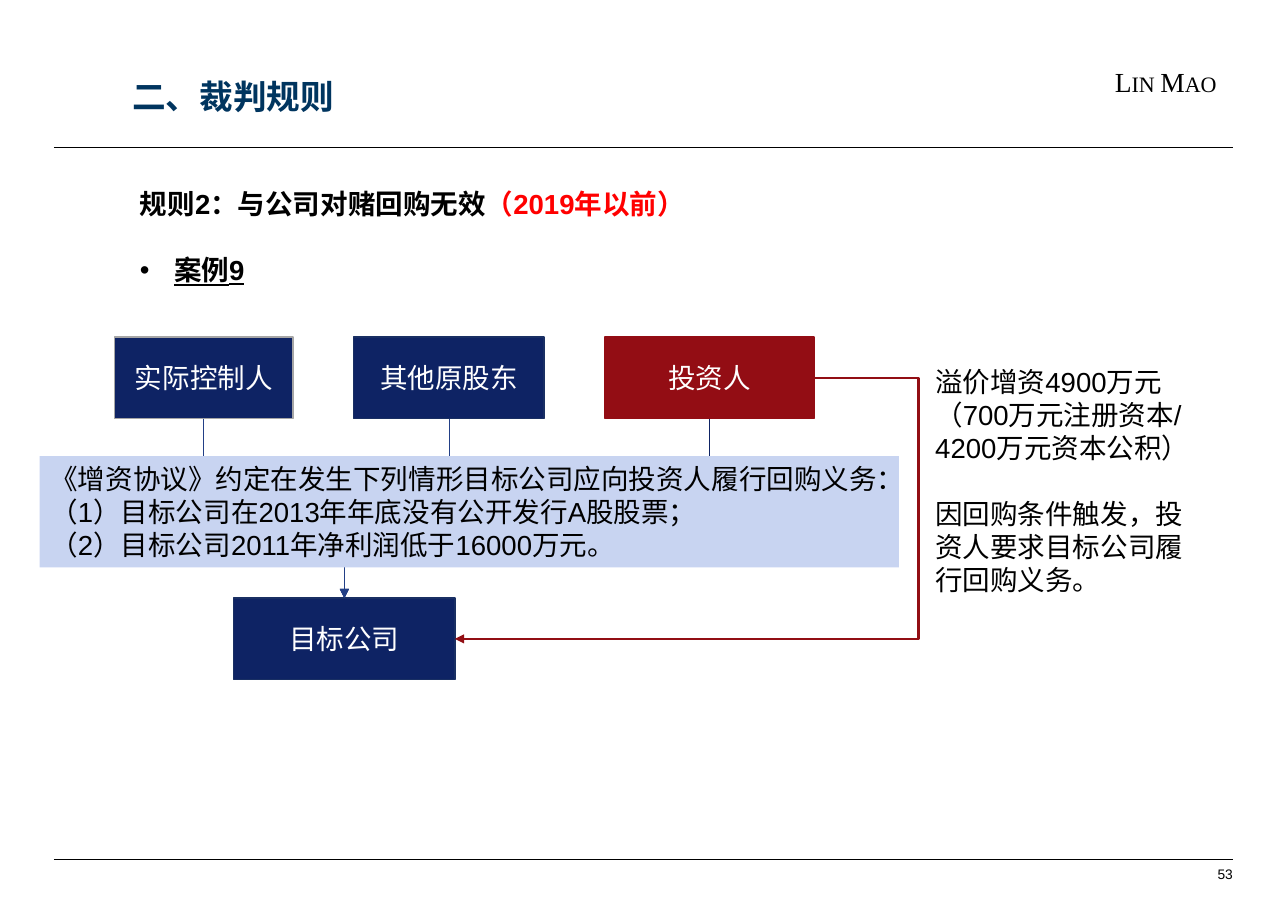
"""Build the slide on the buy-back rule and its case diagram."""
from lxml import etree
from pptx import Presentation
from pptx.dml.color import RGBColor
from pptx.enum.shapes import MSO_CONNECTOR as CONNECTOR, MSO_SHAPE as SHAPE
from pptx.enum.text import MSO_ANCHOR as ANCHOR, MSO_AUTO_SIZE as AUTO_SIZE, PP_ALIGN as ALIGN
from pptx.oxml.ns import qn
from pptx.util import Emu, Pt

NAVY, NAVY_EDGE, BLUE, GREY = "0E2364", "192F63", "223F86", "A6A6A6"
RED, RED_LINE, PALE, BLACK, WHITE = "930D14", "920E14", "C8D4F1", "000000", "FFFFFF"
TOP, BOTTOM, RIGHT = 0, 2, 3
LINE_GAP = 21.6


def px(length):
    """Turn px, 100 to the inch, into EMU."""
    return Emu(length * 9144)


def color(value):
    """Turn a hex string into a colour."""
    return RGBColor.from_string(value)


def set_font(font, size, shade=BLACK, name="Arial", bold=False):
    """Format a font."""
    font.size, font.name, font.bold = Pt(size), name, bold
    font.color.rgb = color(shade)


def place(shape, left, top, width, height):
    """Move and size a shape."""
    shape.left, shape.top = px(left), px(top)
    shape.width, shape.height = px(width), px(height)


def write(shape, texts, size=18, shade=BLACK, align=ALIGN.LEFT, anchor=ANCHOR.TOP,
          gap=0, name="Arial", bold=False):
    """Fill a shape with equally formatted paragraphs."""
    frame = shape.text_frame
    frame.word_wrap, frame.vertical_anchor = True, anchor
    frame.auto_size = AUTO_SIZE.NONE
    frame.text = "\n".join(texts)
    for index, paragraph in enumerate(frame.paragraphs):
        paragraph.alignment = align
        paragraph.space_before = Pt(gap if index else 0)
        set_font(paragraph.font, size, shade, name, bold)
    return frame


def add_text(slide, box, texts, **style):
    """Add a text box."""
    return write(slide.shapes.add_textbox(*map(px, box)), texts, **style)


def add_box(slide, box, fill, edge=None):
    """Add a filled rectangle, with an edge if one is given."""
    shape = slide.shapes.add_shape(SHAPE.RECTANGLE, *map(px, box))
    shape.shadow.inherit = False
    shape.fill.solid()
    shape.fill.fore_color.rgb = color(fill)
    if edge:
        shape.line.color.rgb = color(edge)
        shape.line.width = Pt(1)
    else:
        shape.line.fill.background()
    return shape


def add_party(slide, label, box, fill, edge):
    """Add the labelled box of one party."""
    party = add_box(slide, box, fill, edge)
    write(party, [label], shade=WHITE, align=ALIGN.CENTER, anchor=ANCHOR.MIDDLE)
    return party


def add_line(slide, kind, start, end, shade, width, arrow=False):
    """Add a connector without shadow."""
    line = slide.shapes.add_connector(kind, *map(px, start + end))
    line.line.color.rgb = color(shade)
    line.line.width = Pt(width)
    if arrow:
        tail = etree.SubElement(line.line._get_or_add_ln(), qn("a:tailEnd"))
        tail.set("type", "triangle")
    etree.SubElement(line._element.spPr, qn("a:effectLst"))
    return line


def add_elbow(slide, source, source_site, target, target_site, shade, width):
    """Add a bent arrow glued to two boxes."""
    elbow = add_line(slide, CONNECTOR.ELBOW, (0, 0), (0, 0), shade, width, arrow=True)
    elbow.begin_connect(source, source_site)
    elbow.end_connect(target, target_site)
    return elbow


def add_drop(slide, source, target, shade, width):
    """Add a bent arrow that leaves downwards and arrives from above."""
    drop = add_elbow(slide, source, BOTTOM, target, TOP, shade, width)
    from_left = drop.begin_x < drop.end_x
    middle_x, middle_y = (drop.begin_x + drop.end_x) // 2, (drop.begin_y + drop.end_y) // 2
    across, down = drop.height, drop.width
    drop.left, drop.top = Emu(middle_x - across // 2), Emu(middle_y - down // 2)
    drop.width, drop.height = across, down
    transform = drop._element.spPr.find(qn("a:xfrm"))
    transform.set("rot", str((270 if from_left else 90) * 60000))
    transform.set("flipH", "1" if from_left else "0")


def add_side_loop(slide, source, target):
    """Add the red arrow that leaves and arrives on the right."""
    loop = add_elbow(slide, source, RIGHT, target, RIGHT, RED_LINE, 1.5)
    geometry = loop._element.spPr.find(qn("a:prstGeom"))
    adjustments = geometry.find(qn("a:avLst"))
    if adjustments is None:
        adjustments = etree.SubElement(geometry, qn("a:avLst"))
    guide = etree.SubElement(adjustments, qn("a:gd"))
    guide.set("name", "adj1")
    guide.set("fmla", "val -29150")


def set_bullet(paragraph, indent=0, mark=None):
    """Give a paragraph a hanging bullet, or none."""
    properties = paragraph._p.get_or_add_pPr()
    properties.set("marL", str(px(indent)))
    properties.set("indent", str(-px(indent)))
    bullet = etree.SubElement(properties, qn("a:buChar" if mark else "a:buNone"))
    if mark:
        bullet.set("char", mark)


def fill_title(title):
    """Fill the title placeholder."""
    place(title, 120, 69, 802, 43)
    frame = write(title, ["二、裁判规则"], size=22, shade="00355F", bold=True)
    frame.margin_left = frame.margin_right = frame.margin_top = frame.margin_bottom = 0


def fill_rule(body):
    """Fill the body placeholder with the rule and its case."""
    place(body, 117, 165, 1002, 131)
    frame = body.text_frame
    frame.auto_size = AUTO_SIZE.NONE
    rule, case = frame.paragraphs[0], frame.add_paragraph()
    set_bullet(rule)
    set_bullet(case, 31, "•")
    for paragraph, gap in ((rule, 0), (case, LINE_GAP)):
        paragraph.space_before = Pt(gap)
        set_font(paragraph.font, 18, bold=True)
    for text, shade in (("规则2：与公司对赌回购无效", BLACK), ("（2019年以前）", "FF0000")):
        run = rule.add_run()
        run.text = text
        run.font.color.rgb = color(shade)
    case.add_run().text = "案例9"
    case.font.underline = True


def add_page_frame(slide):
    """Add the firm name, the two rules and the page number."""
    firm = add_text(slide, (1002, 54, 133, 40), ["Lin Mao"], name="Times New Roman")
    firm.paragraphs[0].runs[0].font._element.set("cap", "small")
    for y in (134, 780):
        add_line(slide, CONNECTOR.STRAIGHT, (49, y), (1119, y), BLACK, 0.5)
    number = add_text(slide, (1040, 781, 79, 25), ["53"], size=9,
                      align=ALIGN.RIGHT, anchor=ANCHOR.MIDDLE)
    number.margin_right = 0
    number.margin_top = number.margin_bottom = px(2)


def add_diagram(slide):
    """Add the parties, their arrows and the agreed terms."""
    controller = add_party(slide, "实际控制人", (104, 306, 162, 74), NAVY, GREY)
    shareholders = add_party(slide, "其他原股东", (321, 306, 173, 74), NAVY, NAVY_EDGE)
    investor = add_party(slide, "投资人", (549, 306, 190, 74), RED, RED)
    company = add_party(slide, "目标公司", (212, 543, 201, 74), NAVY, NAVY_EDGE)
    add_drop(slide, controller, company, BLUE, 0.5)
    add_drop(slide, investor, company, NAVY, 1)
    add_side_loop(slide, investor, company)
    add_drop(slide, shareholders, company, BLUE, 0.5)
    write(add_box(slide, (36, 414, 780, 101), PALE), [
        "《增资协议》约定在发生下列情形目标公司应向投资人履行回购义务：",
        "（1）目标公司在2013年年底没有公开发行A股股票；",
        "（2）目标公司2011年净利润低于16000万元。",
    ])
    add_text(slide, (839, 326, 260, 222), [
        "溢价增资4900万元（700万元注册资本/4200万元资本公积）",
        "因回购条件触发，投资人要求目标公司履行回购义务。",
    ], gap=LINE_GAP)


def main():
    """Build and save the presentation."""
    presentation = Presentation()
    presentation.slide_width, presentation.slide_height = px(1169), px(827)
    slide = presentation.slides.add_slide(presentation.slide_layouts[1])
    add_page_frame(slide)
    fill_title(slide.shapes.title)
    fill_rule(slide.placeholders[1])
    add_diagram(slide)
    presentation.save("out.pptx")


if __name__ == "__main__":
    main()
